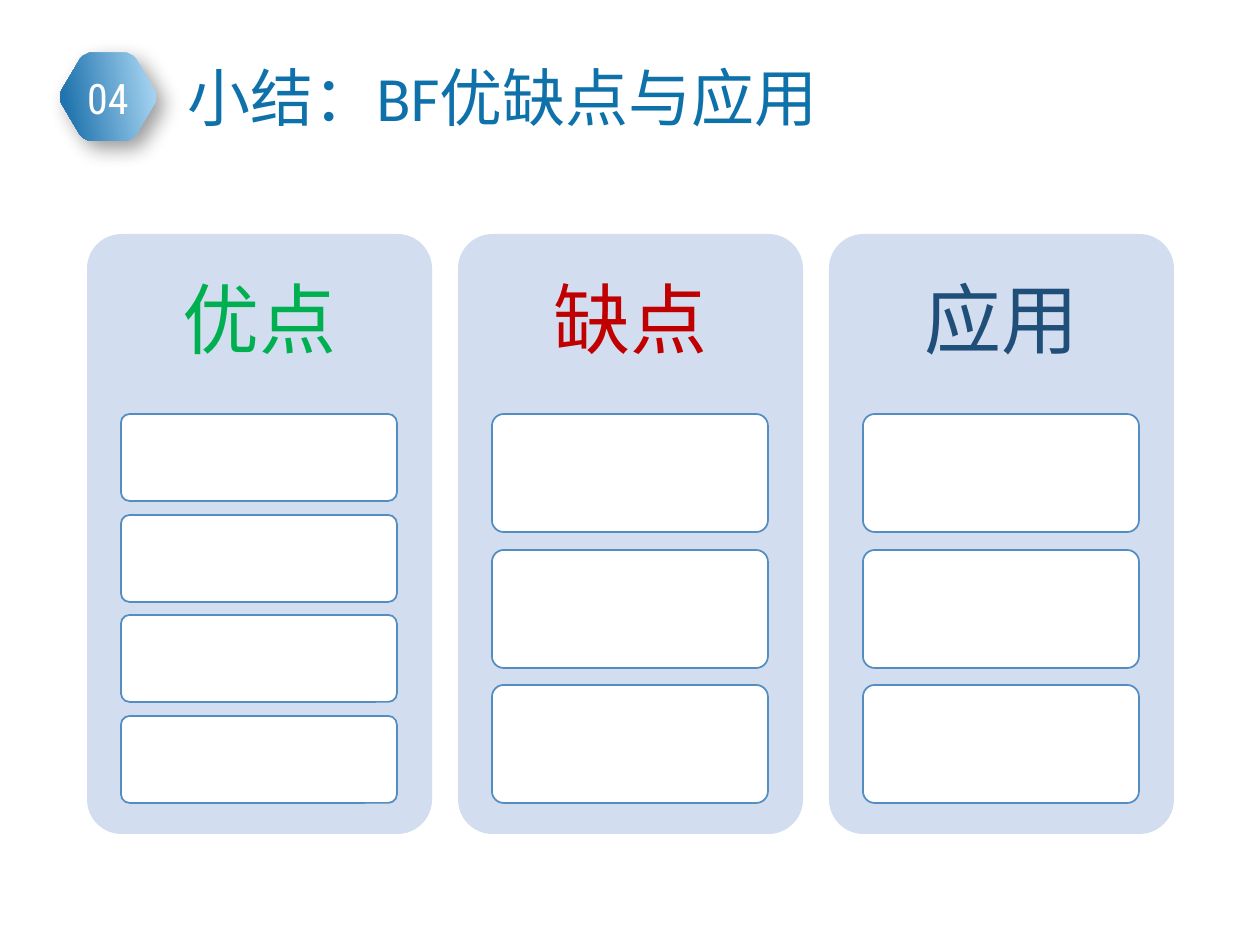
from dataclasses import dataclass

from lxml import etree
from pptx import Presentation
from pptx.dml.color import RGBColor
from pptx.enum.shapes import MSO_SHAPE
from pptx.enum.text import MSO_ANCHOR, MSO_AUTO_SIZE, PP_ALIGN
from pptx.oxml.ns import qn
from pptx.util import Inches, Pt

ROUND_RECT = MSO_SHAPE.ROUNDED_RECTANGLE
LEFT, CENTER = PP_ALIGN.LEFT, PP_ALIGN.CENTER
TOP, MIDDLE = MSO_ANCHOR.TOP, MSO_ANCHOR.MIDDLE
GROW, NO_FIT = MSO_AUTO_SIZE.SHAPE_TO_FIT_TEXT, MSO_AUTO_SIZE.NONE
SCALE = Inches(1) // 126


@dataclass(frozen=True)
class Theme:
    font: str = "Calibri"
    badge_font: str = "Roboto Condensed"
    title: str = "0E71AA"
    white: str = "FFFFFF"
    panel: str = "D2DEEF"
    border: str = "538DC1"
    badge_light: str = "AFDBF6"
    badge_dark: str = "2174AE"
    shadow: str = "000000"
    pros: str = "00B050"
    cons: str = "C00000"
    uses: str = "1F4E79"
    title_size: int = 36
    head_size: int = 44
    badge_size: int = 24


def px(n):
    return n * SCALE


def rgb(color):
    return RGBColor.from_string(color)


def write(tf, text, *, font, size, color, align=LEFT, anchor=TOP, fit=GROW,
          inset=None, spacing=None, after=None):
    tf.word_wrap = True
    tf.auto_size = fit
    tf.vertical_anchor = anchor
    if inset is not None:
        tf.margin_left = tf.margin_right = px(inset)
        tf.margin_top = tf.margin_bottom = px(inset)
    p = tf.paragraphs[0]
    p.alignment = align
    if spacing is not None:
        p.line_spacing = spacing
    if after is not None:
        p.space_after = Pt(after)
    r = p.add_run()
    r.text = text
    r.font.name = font
    r.font.size = Pt(size)
    r.font.color.rgb = rgb(color)


class SlideBuilder:
    def __init__(self, slide, theme):
        self.s = slide
        self.theme = theme

    def text(self, x, y, w, h, text, **fmt):
        sp = self.s.shapes.add_textbox(px(x), px(y), px(w), px(h))
        write(sp.text_frame, text, **fmt)

    def box(self, x, y, w, h, fill, line=None):
        sp = self.s.shapes.add_shape(ROUND_RECT, px(x), px(y), px(w), px(h))
        sp.adjustments[0] = 0.1
        sp.shadow.inherit = False
        sp.fill.solid()
        sp.fill.fore_color.rgb = rgb(fill)
        if line:
            sp.line.color.rgb = rgb(line)
            sp.line.width = Pt(1)
        else:
            sp.line.fill.background()

    def hexagon(self, cx, cy):
        t = self.theme
        corner = [(48, 0), (47, 6), (28, 38), (25, 41), (19, 44)]
        half = corner + [(-x, y) for x, y in reversed(corner)]
        ring = half + [(-x, -y) for x, y in half[1:-1]]
        points = [(cx + x, cy + y) for x, y in ring]
        fb = self.s.shapes.build_freeform(*points[0], scale=SCALE)
        fb.add_line_segments(points[1:], close=True)
        sp = fb.convert_to_shape()
        sp.line.fill.background()
        sp.fill.gradient()
        sp.fill.gradient_angle = 190
        stops = ((0, t.badge_light), (0.9, t.badge_dark))
        for stop, (position, color) in zip(sp.fill.gradient_stops, stops):
            stop.position = position
            stop.color.rgb = rgb(color)
        self.shadow(sp)

    def shadow(self, sp):
        sp.shadow.inherit = False
        effects = sp._element.spPr.find(qn("a:effectLst"))
        outer = etree.SubElement(
            effects, qn("a:outerShdw"), blurRad=str(Pt(12)), dist=str(Pt(6)),
            dir=str(45 * 60000), algn="tl", rotWithShape="0")
        color = etree.SubElement(outer, qn("a:srgbClr"), val=self.theme.shadow)
        etree.SubElement(color, qn("a:alpha"), val="40000")

    def column(self, x, heading, color, count):
        t = self.theme
        self.box(x, 234, 345, 600, t.panel)
        self.text(x, 234, 345, 180, heading, font=t.font, size=t.head_size,
                  color=color, align=CENTER, anchor=MIDDLE, fit=NO_FIT,
                  inset=23, spacing=0.9, after=15)
        top, height, gap_ratio = 414, 389, 2 / 13
        card = height / (count + (count - 1) * gap_ratio)
        for i in range(count):
            y = round(top + i * card * (1 + gap_ratio))
            self.box(x + 34, y, 276, round(card), t.white, t.border)


def main():
    theme = Theme()
    prs = Presentation()
    prs.slide_width, prs.slide_height = px(1260), px(945)
    s = SlideBuilder(prs.slides.add_slide(prs.slide_layouts[6]), theme)

    s.hexagon(108, 97)
    s.text(45, 66, 126, 63, "04", font=theme.badge_font,
           size=theme.badge_size, color=theme.white, align=CENTER)
    columns = (("优点", theme.pros, 4), ("缺点", theme.cons, 3),
               ("应用", theme.uses, 3))
    for i, (heading, color, count) in enumerate(columns):
        s.column(87 + i * 371, heading, color, count)
    s.text(175, 52, 662, 89, "小结：BF优缺点与应用", font=theme.font,
           size=theme.title_size, color=theme.title)

    prs.save("out.pptx")


if __name__ == "__main__":
    main()
